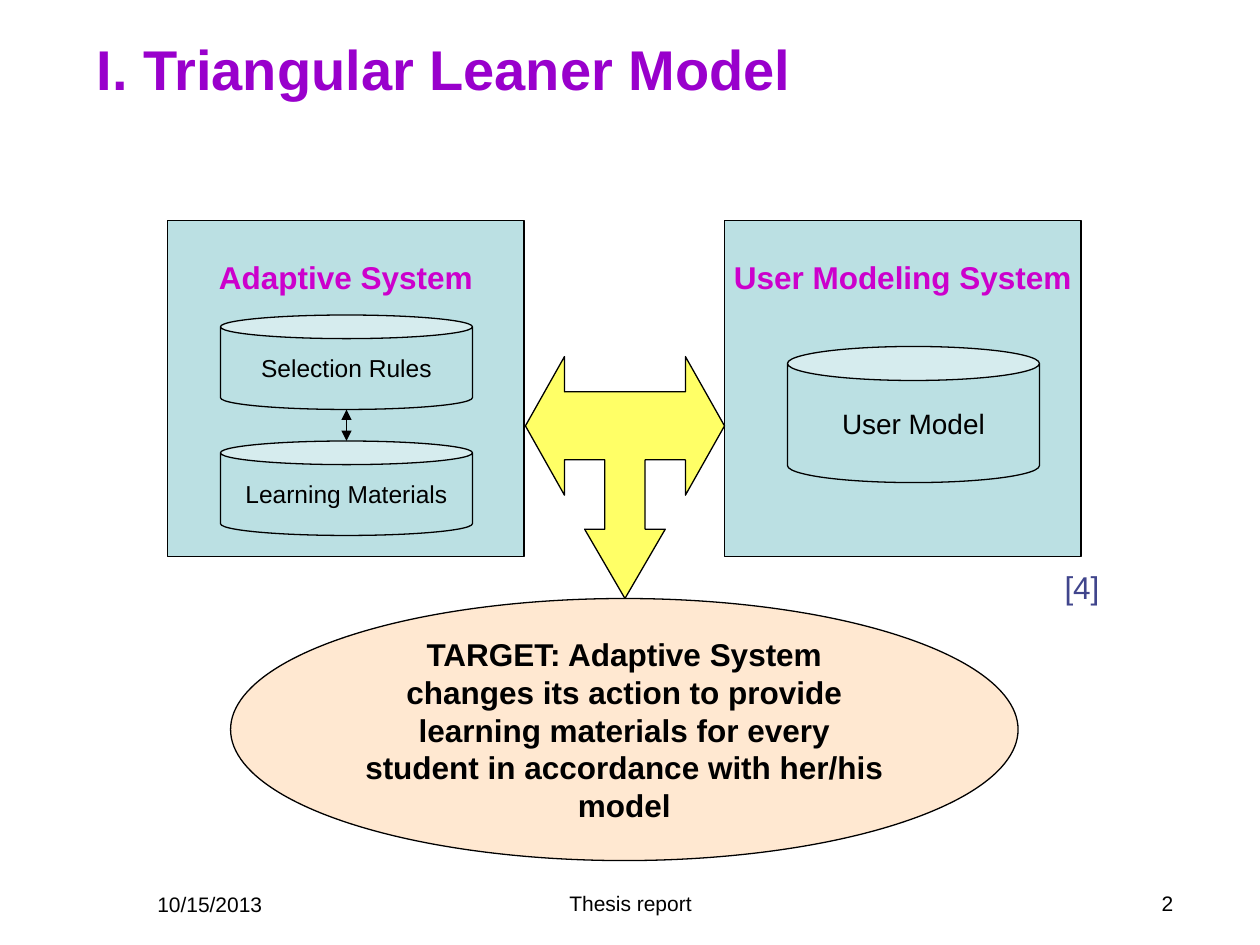
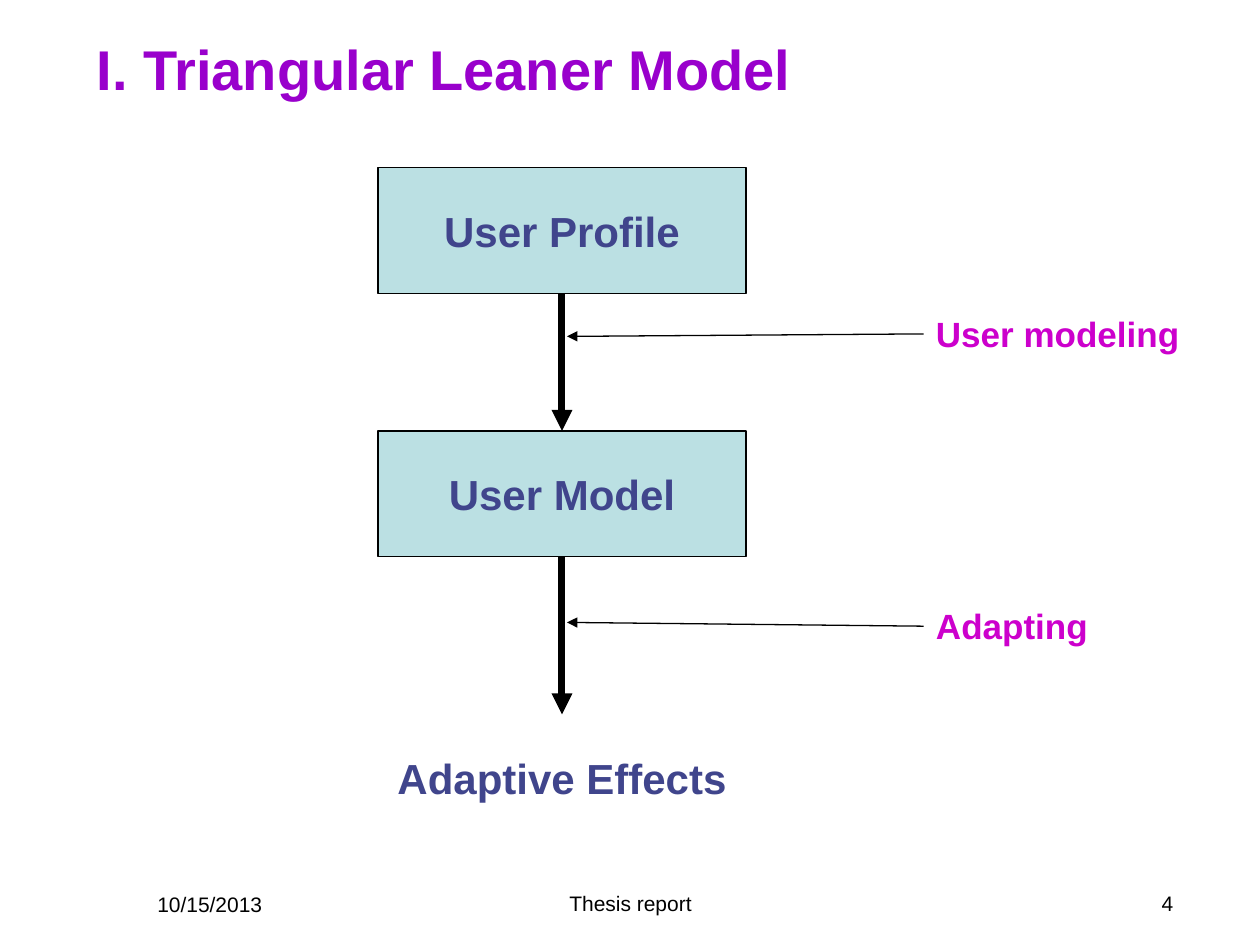
import pptx
import pptx.util
import pptx.dml.color
import pptx.enum.shapes
import pptx.enum.text
import pptx.oxml
import pptx.oxml.ns

Inches = pptx.util.Inches
Color = pptx.dml.color.RGBColor.from_string
Kind = pptx.enum.shapes.MSO_SHAPE
Align = pptx.enum.text.PP_ALIGN
Anchor = pptx.enum.text.MSO_ANCHOR
HUES = {
    "title": "9900CC",
    "label": "CC00CC",
    "ink": "40458C",
    "black": "000000",
    "box": "BBE0E3",
    "arrow": "FFFF66",
    "goal": "FFE8D1",
}


def write(slide, text, at, kind=None, fill="box", size=18, hue="black", bold=False,
          align=Align.LEFT, anchor=Anchor.MIDDLE, wrap=False, top=0.05):
    """Add text at a place, inside a preset shape if a kind is given."""
    place = [Inches(n) for n in at]
    if kind is None:
        shape = slide.shapes.add_textbox(*place)
    else:
        shape = slide.shapes.add_shape(kind, *place)
        shape.shadow.inherit = False
        shape.fill.solid()
        shape.fill.fore_color.rgb = Color(HUES[fill])
        shape.line.color.rgb = Color(HUES["black"])
        shape.line.width = pptx.util.Pt(0.75)
    frame = shape.text_frame
    frame.word_wrap = wrap
    frame.vertical_anchor = anchor
    frame.margin_top = Inches(top)
    para = frame.paragraphs[0]
    para.alignment = align
    run = para.add_run()
    run.text = text
    run.font.name = "Arial"
    run.font.size = pptx.util.Pt(size)
    run.font.bold = bold
    run.font.color.rgb = Color(HUES[hue])


def link(slide, start, end, width=0.75, both=False):
    """Draw a straight arrow, with a head at both ends on request."""
    line = slide.shapes.add_connector(
        pptx.enum.shapes.MSO_CONNECTOR.STRAIGHT, *[Inches(n) for n in start + end])
    line.line.color.rgb = Color(HUES["black"])
    line.line.width = pptx.util.Pt(width)
    stroke = line.line._get_or_add_ln()
    for tag in ("headEnd", "tailEnd") if both else ("tailEnd",):
        tip = pptx.oxml.parse_xml(f'<a:{tag} {pptx.oxml.ns.nsdecls("a")} type="triangle"/>')
        stroke.append(tip)
    blank = pptx.oxml.parse_xml(f'<a:effectLst {pptx.oxml.ns.nsdecls("a")}/>')
    stroke.addnext(blank)


deck = pptx.Presentation()
deck.slide_width, deck.slide_height = Inches(10), Inches(7.5)

# Title and footers on every slide
pages = []
for number in ("2", "4"):
    page = deck.slides.add_slide(deck.slide_layouts[6])
    pages.append(page)
    for text, at, align in (
        ("10/15/2013", (1.15, 7.03, 2.33, 0.52), Align.LEFT),
        ("Thesis report", (3.42, 7.02, 3.17, 0.52), Align.CENTER),
        (number, (7.08, 7.02, 2.33, 0.52), Align.RIGHT),
    ):
        write(page, text, at, size=12, align=align, anchor=Anchor.TOP, wrap=True)
    write(page, "I. Triangular Leaner Model", (0.67, 0.08, 8.92, 0.92),
          size=32, hue="title", bold=True, wrap=True)
model, flow = pages

# The two systems
for text, left in (("Adaptive System", 1.33), ("User Modeling System", 5.75)):
    write(model, text, (left, 1.75, 2.83, 2.67), Kind.RECTANGLE, hue="label", bold=True,
          align=Align.CENTER, anchor=Anchor.TOP, top=0.3)

# Their data stores
for text, at, size in (
    ("Selection Rules", (1.75, 2.5, 2, 0.75), 14),
    ("Learning Materials", (1.75, 3.5, 2, 0.75), 14),
    ("User Model", (6.25, 2.75, 2, 1.08), 16),
):
    write(model, text, at, Kind.CAN, size=size, align=Align.CENTER)
link(model, (2.75, 3.25), (2.75, 3.5), both=True)

# Three-way arrow: right half from the lower tip up, then its mirror
mid = 4.96
half = [(0, 4.75), (0.32, 4.2), (0.16, 4.2), (0.16, 3.65), (0.48, 3.65),
        (0.48, 3.93), (0.79, 3.38), (0.48, 2.83), (0.48, 3.11)]
edge = [(mid + x, y) for x, y in half] + [(mid - x, y) for x, y in half[:0:-1]]
spots = [(Inches(x), Inches(y)) for x, y in edge]
pen = model.shapes.build_freeform(*spots[0])
pen.add_line_segments(spots[1:], close=True)
arrow = pen.convert_to_shape()
arrow.shadow.inherit = False
arrow.fill.solid()
arrow.fill.fore_color.rgb = Color(HUES["arrow"])
arrow.line.color.rgb = Color(HUES["black"])
arrow.line.width = pptx.util.Pt(0.75)

# Target and citation
write(model, "TARGET: Adaptive System changes its action to provide learning materials "
      "for every student in accordance with her/his model",
      (1.83, 4.75, 6.25, 2.08), Kind.OVAL, fill="goal", bold=True,
      align=Align.CENTER, wrap=True)
write(model, "[4]", (8.35, 4.46, 0.48, 0.4), hue="ink", anchor=Anchor.TOP)

# Stages from profile to effects
for text, top, kind in (
    ("User Profile", 1.33, Kind.RECTANGLE),
    ("User Model", 3.42, Kind.RECTANGLE),
    ("Adaptive Effects", 5.67, None),
):
    write(flow, text, (3, top, 2.92, 1), kind, size=24, hue="ink", bold=True,
          align=Align.CENTER)

# Steps between the stages, each with its pointer
for text, start, end, top, wide, tip in (
    ("User modeling", 2.33, 3.42, 2.43, 2.13, 2.67),
    ("Adapting", 4.42, 5.67, 4.75, 1.41, 4.94),
):
    link(flow, (4.46, start), (4.46, end), width=4)
    write(flow, text, (7.33, top, wide, 0.43), size=20, hue="label", bold=True,
          anchor=Anchor.TOP)
    link(flow, (7.33, top + 0.22), (4.5, tip))

deck.save("out.pptx")
